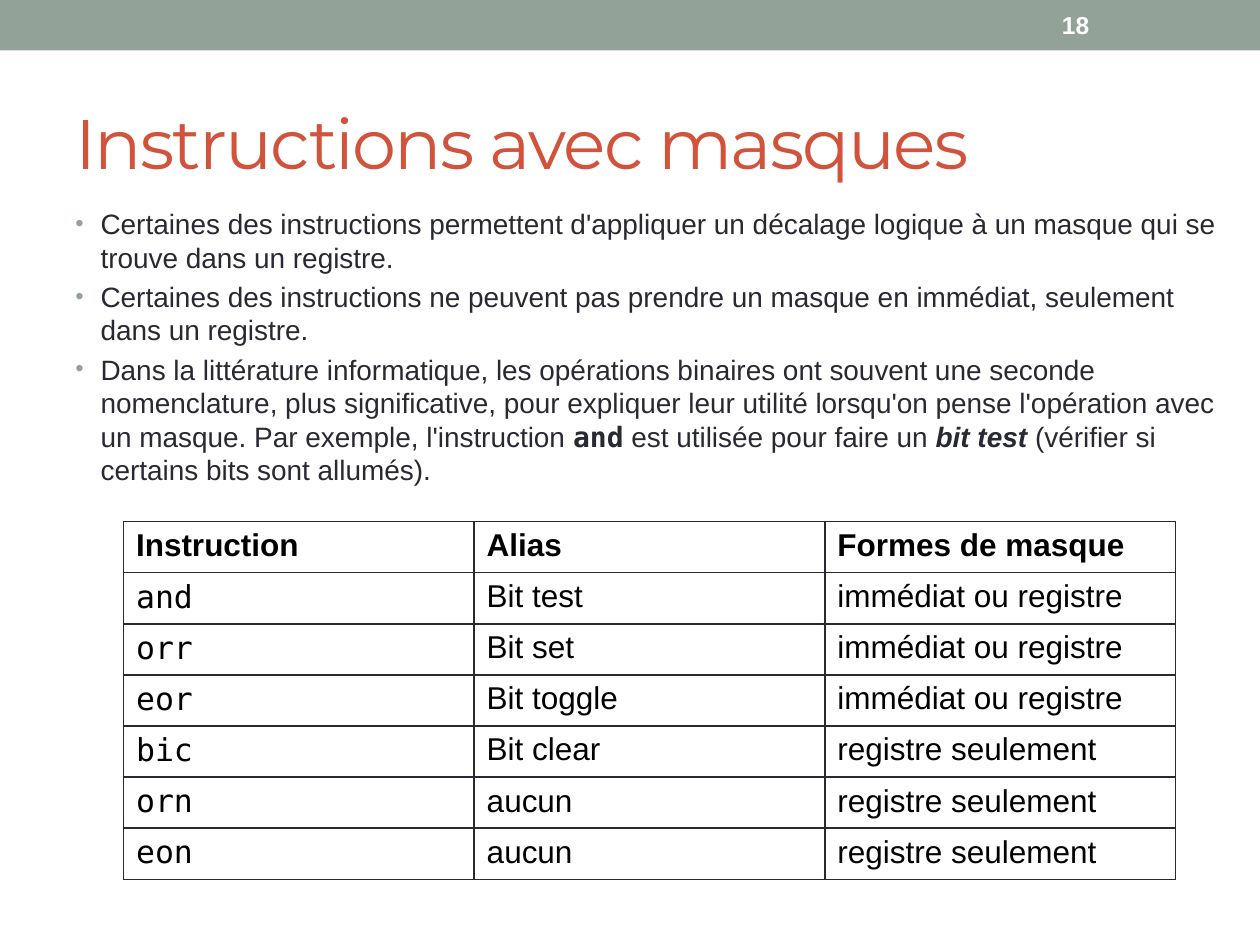
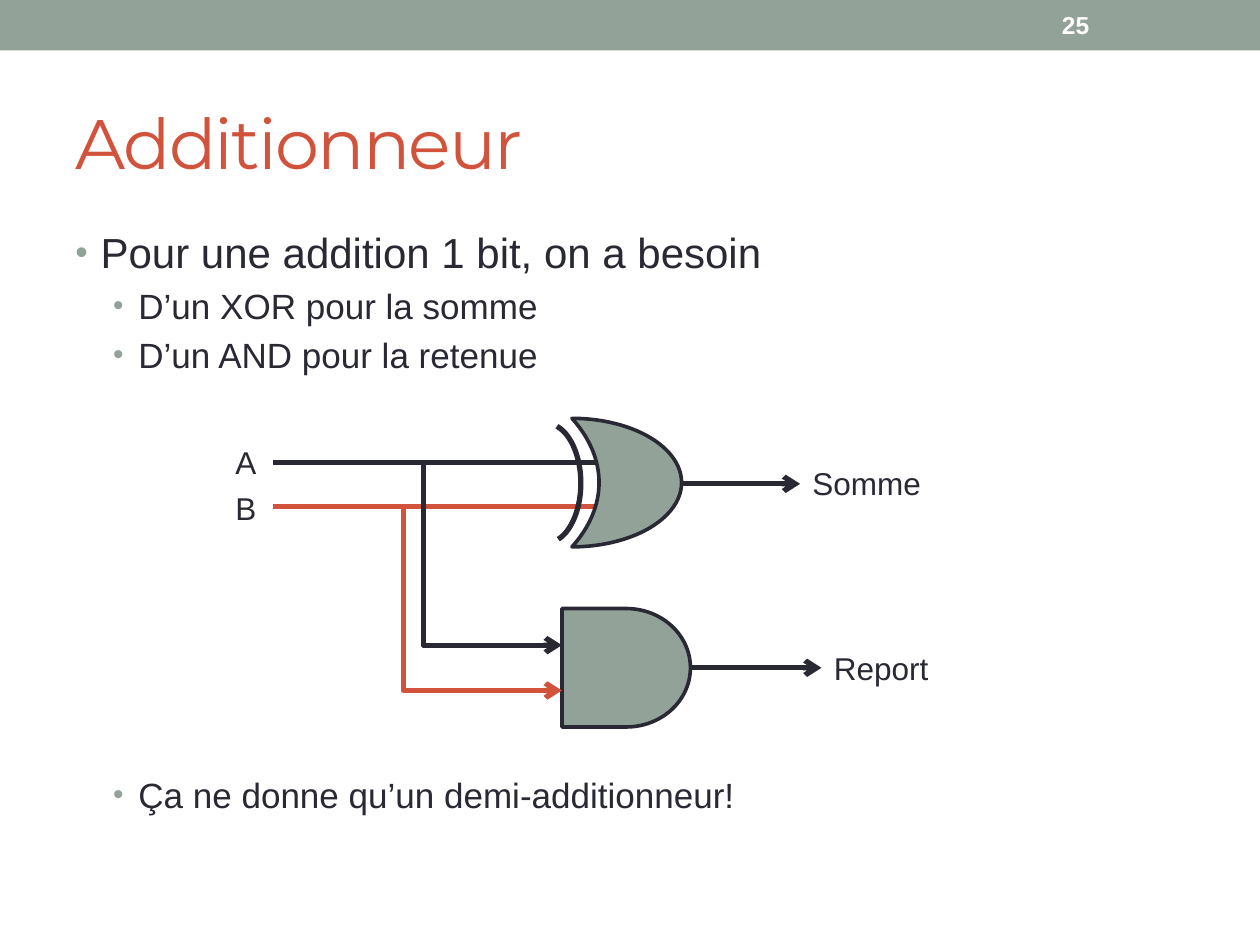
from lxml.etree import SubElement
from pptx import Presentation
from pptx.dml.color import RGBColor
from pptx.enum.shapes import MSO_CONNECTOR as Link, MSO_SHAPE as Preset
from pptx.enum.text import MSO_ANCHOR as Anchor
from pptx.oxml.ns import qn
from pptx.util import Inches, Pt

SAGE = RGBColor(0x93, 0xA2, 0x99)
BRICK = RGBColor(0xD2, 0x53, 0x3C)
INK = RGBColor(0x29, 0x29, 0x34)
WHITE = RGBColor(0xFF, 0xFF, 0xFF)
BLACK = RGBColor(0, 0, 0)
SANS, MONO, DISPLAY = "Arial", "DejaVu Sans Mono", "Montserrat"
WIRE_WIDTH = Pt(3)
GATE_OUTLINE = Pt(2.08)


def add_span(para, text, size, color=INK, font=SANS, bold=False, italic=False):
    span = para.add_run()
    span.text = text
    style = span.font
    style.name, style.size = font, Pt(size)
    style.bold, style.italic = bold, italic
    style.color.rgb = color
    return span


def add_box(page, left, top, width, height, anchor=Anchor.TOP):
    box = page.shapes.add_textbox(
        Inches(left), Inches(top), Inches(width), Inches(height))
    box.text_frame.word_wrap = True
    box.text_frame.vertical_anchor = anchor
    return box.text_frame


def add_preset(page, preset, left, top, width, height, fill=None,
               line=None, line_width=GATE_OUTLINE):
    shape = page.shapes.add_shape(
        preset, Inches(left), Inches(top), Inches(width), Inches(height))
    shape.shadow.inherit = False
    if fill is None:
        shape.fill.background()
    else:
        shape.fill.solid()
        shape.fill.fore_color.rgb = fill
    if line is None:
        shape.line.fill.background()
    else:
        shape.line.color.rgb = line
        shape.line.width = line_width
    return shape


def add_page(deck, title, number):
    """Add a blank page with the band, the title and the page number."""
    page = deck.slides.add_slide(deck.slide_layouts[6])
    add_preset(page, Preset.RECTANGLE, 0, 0, 10, 0.4, SAGE)
    heading = add_box(page, 0.5, 0.58, 9, 1.08, Anchor.MIDDLE)
    span = add_span(heading.paragraphs[0], title, 40, BRICK, DISPLAY)
    span.font._element.set("spc", "-100")
    corner = add_box(page, 8.33, 0.02, 1.17, 0.36, Anchor.MIDDLE)
    add_span(corner.paragraphs[0], str(number), 14, WHITE, bold=True)
    return page


def format_bullet(para, level):
    para.level = level
    props = para._p.get_or_add_pPr()
    props.set("marL", str(Inches(0.2 + 0.3 * level)))
    props.set("indent", str(Inches(-0.2)))
    before = SubElement(props, qn("a:spcBef"))
    SubElement(before, qn("a:spcPct"), val="20000")
    color = SubElement(props, qn("a:buClr"))
    SubElement(color, qn("a:srgbClr"), val=str(SAGE))
    SubElement(props, qn("a:buSzPct"), val="85000")
    SubElement(props, qn("a:buFont"), typeface=SANS)
    SubElement(props, qn("a:buChar"), char="•")


def add_bullets(page, top, height, items):
    """Each item is (level, size, spans); a span is (text, font options)."""
    frame = add_box(page, 0.5, top, 9.38, height)
    for index, (level, size, spans) in enumerate(items):
        para = frame.add_paragraph() if index else frame.paragraphs[0]
        format_bullet(para, level)
        for text, options in spans:
            add_span(para, text, size, **options)


def set_borders(cell):
    props = cell._tc.get_or_add_tcPr()
    for position, side in enumerate(("lnL", "lnR", "lnT", "lnB")):
        border = props.makeelement(qn(f"a:{side}"), {"w": str(Pt(1))})
        fill = SubElement(border, qn("a:solidFill"))
        SubElement(fill, qn("a:srgbClr"), val=str(INK))
        props.insert(position, border)


def add_grid(page, left, top, width, height, rows):
    """Add a table with a bold header row and a monospaced first column."""
    table = page.shapes.add_table(
        len(rows), len(rows[0]), Inches(left), Inches(top),
        Inches(width), Inches(height)).table
    table.horz_banding = False
    for r, row in enumerate(rows):
        for c, text in enumerate(row):
            cell = table.cell(r, c)
            cell.fill.solid()
            cell.fill.fore_color.rgb = WHITE
            set_borders(cell)
            font = MONO if r and c == 0 else SANS
            add_span(cell.text_frame.paragraphs[0], text, 18, BLACK, font,
                     bold=r == 0)


def add_wire(page, start, end, color=INK, arrow=False):
    wire = page.shapes.add_connector(
        Link.STRAIGHT, *(Inches(value) for value in (*start, *end)))
    wire.line.color.rgb = color
    wire.line.width = WIRE_WIDTH
    props = wire._element.spPr
    if arrow:
        SubElement(wire.line._get_or_add_ln(), qn("a:tailEnd"), type="arrow")
    SubElement(props, qn("a:effectLst"))
    return wire


def add_branch(page, start, end, color):
    """Add a bent arrow that goes down from start, then right to end."""
    (x1, y1), (x2, y2) = start, end
    middle_x, middle_y = (x1 + x2) / 2, (y1 + y2) / 2
    half_w, half_h = (y2 - y1) / 2, (x2 - x1) / 2
    branch = add_wire(page, (middle_x - half_w, middle_y - half_h),
                      (middle_x + half_w, middle_y + half_h), color, True)
    props = branch._element.spPr
    props.find(qn("a:prstGeom")).set("prst", "bentConnector2")
    frame = props.find(qn("a:xfrm"))
    frame.set("rot", str(270 * 60000))
    frame.set("flipH", "1")


def add_label(page, text, left, top, width):
    add_span(add_box(page, left, top, width, 0.4).paragraphs[0], text, 18)


def add_xor_gate(page):
    body = add_preset(page, Preset.MOON, 4.54, 3.32, 0.87, 1.02, SAGE, INK)
    body.adjustments[0] = 0.753
    body._element.spPr.find(qn("a:xfrm")).set("flipH", "1")
    curve = add_preset(page, Preset.ARC, 4.06, 3.36, 0.55, 0.95,
                       line=INK, line_width=WIRE_WIDTH)
    for index, degrees in enumerate((280.7, 77.8)):
        curve.adjustments[index] = degrees * 0.6


def add_half_adder(page):
    and_gate = add_preset(page, Preset.FLOWCHART_DELAY,
                          4.46, 4.83, 1.02, 0.94, SAGE, INK)
    inputs = (("A", 3.47, 3.67, INK), ("B", 3.83, 4.02, BRICK))
    for name, label_top, wire_y, color in inputs:
        add_label(page, name, 1.77, label_top, 0.4)
        add_wire(page, (2.17, wire_y), (4.85, wire_y), color)
    add_xor_gate(page)
    add_branch(page, (3.36, 3.67), (4.46, 5.12), INK)
    add_branch(page, (3.2, 4.03), (4.46, 5.48), BRICK)
    add_wire(page, (5.4, 3.84), (6.35, 3.84), arrow=True)
    carry = add_wire(page, (5.48, 5.3), (6.52, 5.3), arrow=True)
    carry.begin_connect(and_gate, 3)
    add_label(page, "Somme", 6.35, 3.63, 1.26)
    add_label(page, "Report", 6.52, 5.1, 1.26)


def build_masks_page(deck):
    page = add_page(deck, "Instructions avec masques", 18)
    add_bullets(page, 1.59, 2.43, [
        (0, 16, [("Certaines des instructions permettent d'appliquer un "
                  "décalage logique à un masque qui se trouve dans un "
                  "registre.", {})]),
        (0, 16, [("Certaines des instructions ne peuvent pas prendre un "
                  "masque en immédiat, seulement dans un registre.", {})]),
        (0, 16, [("Dans la littérature informatique, les opérations binaires "
                  "ont souvent une seconde nomenclature, plus significative, "
                  "pour expliquer leur utilité lorsqu'on pense l'opération "
                  "avec un masque. Par exemple, l'instruction ", {}),
                 ("and", {"font": MONO, "bold": True}),
                 (" est utilisée pour faire un ", {}),
                 ("bit test ", {"bold": True, "italic": True}),
                 ("(vérifier si certains bits sont allumés).", {})]),
    ])
    either, register = "immédiat ou registre", "registre seulement"
    add_grid(page, 0.98, 4.14, 8.35, 2.84, [
        ("Instruction", "Alias", "Formes de masque"),
        ("and", "Bit test", either),
        ("orr", "Bit set", either),
        ("eor", "Bit toggle", either),
        ("bic", "Bit clear", register),
        ("orn", "aucun", register),
        ("eon", "aucun", register),
    ])


def build_adder_page(deck):
    page = add_page(deck, "Additionneur", 25)
    add_bullets(page, 1.75, 1.35, [
        (0, 24, [("Pour une addition 1 bit, on a besoin", {})]),
        (1, 20, [("D’un XOR pour la somme", {})]),
        (1, 20, [("D’un AND pour la retenue", {})]),
    ])
    add_half_adder(page)
    add_bullets(page, 6.09, 0.45, [
        (1, 20, [("Ça ne donne qu’un demi-additionneur!", {})]),
    ])


def main():
    deck = Presentation()
    deck.slide_width, deck.slide_height = Inches(10), Inches(7.5)
    build_masks_page(deck)
    build_adder_page(deck)
    deck.save("out.pptx")


if __name__ == "__main__":
    main()
